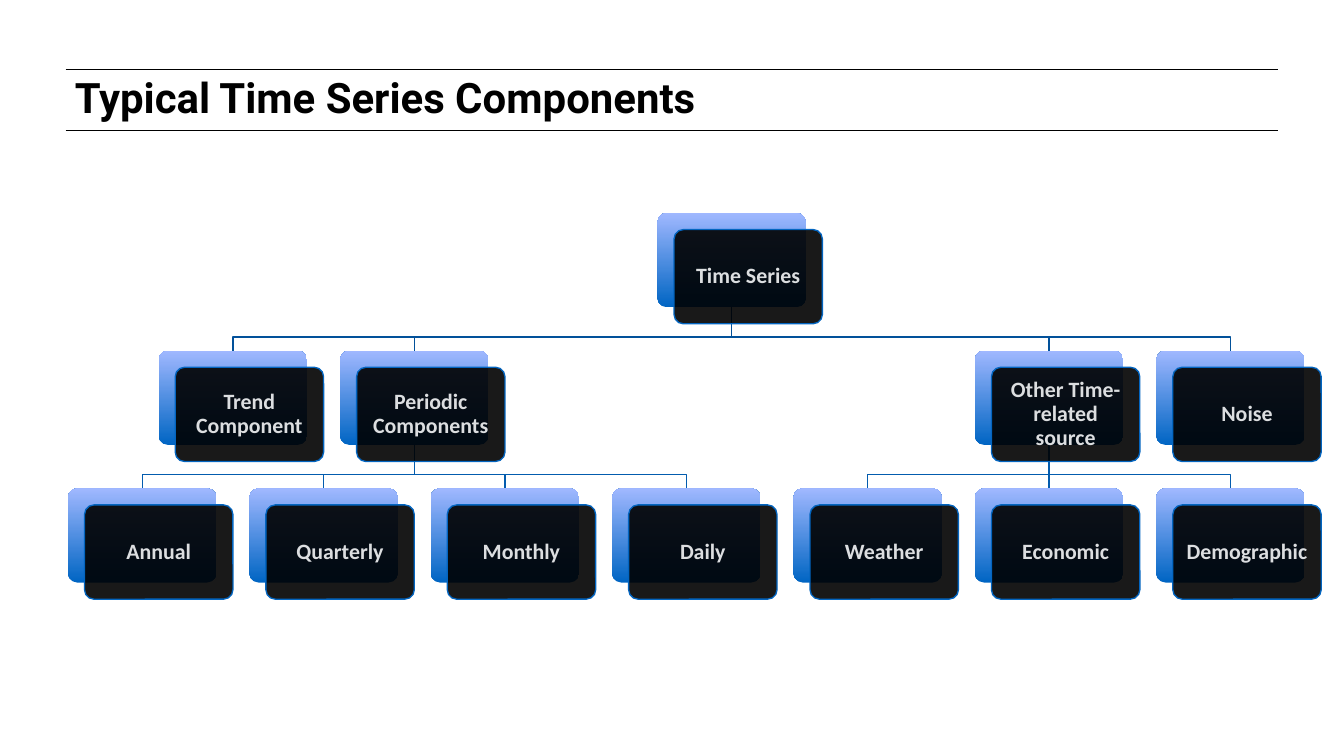
from lxml import etree
from pptx import Presentation
from pptx.dml.color import RGBColor
from pptx.enum import shapes, text
from pptx.oxml import ns
from pptx.util import Pt

COLORS = {
    "ink": "000000",
    "label": "DCDEE0",
    "card_bottom": "0065C3",
    "card_top": "A0B8FF",
    "card_edge": "0365C0",
    "upper_branch": "02519A",
    "lower_branch": "035CAE",
}

# Tree grid
LEFT, TOP = 37.3, 116.8
COLUMN_STEP, ROW_STEP = 99.5, 75.5
CARD_WIDTH, CARD_HEIGHT = 81.4, 51.7
CARD_SHIFT = 9.1
BRANCH_DROP = 16.3

# Name: (column, row, parent)
NODES = {
    "Time Series": (3.25, 0, None),
    "Trend Component": (0.5, 1, "Time Series"),
    "Periodic Components": (1.5, 1, "Time Series"),
    "Other Time-related source": (5, 1, "Time Series"),
    "Noise": (6, 1, "Time Series"),
    "Annual": (0, 2, "Periodic Components"),
    "Quarterly": (1, 2, "Periodic Components"),
    "Monthly": (2, 2, "Periodic Components"),
    "Daily": (3, 2, "Periodic Components"),
    "Weather": (4, 2, "Other Time-related source"),
    "Economic": (5, 2, "Other Time-related source"),
    "Demographic": (6, 2, "Other Time-related source"),
}


def color(name):
    return RGBColor.from_string(COLORS[name])


def write(shape, words, *, font, size, ink, align, anchor, inset, spacing, after=0):
    frame = shape.text_frame
    frame.word_wrap = True
    frame.auto_size = text.MSO_AUTO_SIZE.NONE
    frame.vertical_anchor = anchor
    frame.margin_left = frame.margin_right = Pt(inset)
    frame.margin_top = frame.margin_bottom = Pt(inset)
    para = frame.paragraphs[0]
    para.alignment = align
    para.line_spacing = spacing
    para.space_before = Pt(0)
    para.space_after = Pt(after)
    span = para.add_run()
    span.text = words
    span.font.name = font
    span.font.size = Pt(size)
    span.font.bold = True
    span.font.color.rgb = color(ink)


def add_line(page, x1, y1, x2, y2, ink, width):
    line = page.shapes.add_connector(
        shapes.MSO_CONNECTOR.STRAIGHT, Pt(x1), Pt(y1), Pt(x2), Pt(y2))
    line.line.color.rgb = color(ink)
    line.line.width = Pt(width)
    etree.SubElement(line.element.spPr, ns.qn("a:effectLst"))
    return line


def add_card(page, column, row, shift=0):
    card = page.shapes.add_shape(
        shapes.MSO_SHAPE.ROUNDED_RECTANGLE,
        Pt(LEFT + column * COLUMN_STEP + shift), Pt(TOP + row * ROW_STEP + shift),
        Pt(CARD_WIDTH), Pt(CARD_HEIGHT))
    card.adjustments[0] = 0.1
    card.shadow.inherit = False
    return card


def add_back_card(page, column, row):
    card = add_card(page, column, row)
    card.fill.gradient()
    card.fill.gradient_angle = 90
    for stop, name in zip(card.fill.gradient_stops, ("card_bottom", "card_top")):
        stop.color.rgb = color(name)
    card.line.fill.background()
    return card


def add_front_card(page, words, column, row):
    card = add_card(page, column, row, CARD_SHIFT)
    card.fill.solid()
    card.fill.fore_color.rgb = color("ink")
    tint = card.element.spPr.find(ns.qn("a:solidFill"))[0]
    etree.SubElement(tint, ns.qn("a:alpha"), val="90000")
    card.line.color.rgb = color("card_edge")
    card.line.width = Pt(0.75)
    write(card, words, font="Calibri", size=12, ink="label",
          align=text.PP_ALIGN.CENTER, anchor=text.MSO_ANCHOR.MIDDLE,
          inset=5, spacing=0.9, after=4.2)


def add_branch(page, parent, child, ink):
    start_x = parent.left + parent.width // 2
    start_y = parent.top + parent.height
    end_x = child.left + child.width // 2
    if start_x == end_x:
        line = add_line(page, 0, 0, 0, 0, ink, 0.75)
        line.begin_connect(parent, 2)
        line.end_connect(child, 0)
        return
    bar_y = start_y + Pt(BRANCH_DROP)
    builder = page.shapes.build_freeform(start_x, start_y)
    builder.add_line_segments(
        [(start_x, bar_y), (end_x, bar_y), (end_x, child.top)], close=False)
    branch = builder.convert_to_shape()
    branch.shadow.inherit = False
    branch.fill.background()
    branch.line.color.rgb = color(ink)
    branch.line.width = Pt(0.75)


def add_heading(page):
    for y in (38.3, 71.4):
        add_line(page, 36, y, 701.3, y, "ink", 0.5)
    title = page.shapes.title
    title.left, title.top, title.width, title.height = Pt(36.7), Pt(39.6), Pt(620), Pt(37.4)
    write(title, "Typical Time Series Components", font="Roboto", size=23, ink="ink",
          align=text.PP_ALIGN.LEFT, anchor=text.MSO_ANCHOR.TOP,
          inset=4.3, spacing=Pt(23))


def add_tree(page):
    # Cards at the back, then branches, then labelled cards
    backs = {name: add_back_card(page, column, row)
             for name, (column, row, _) in NODES.items()}
    for name, (_, row, parent) in NODES.items():
        if parent:
            ink = "upper_branch" if row == 1 else "lower_branch"
            add_branch(page, backs[parent], backs[name], ink)
    for name, (column, row, _) in NODES.items():
        add_front_card(page, name, column, row)


def main():
    deck = Presentation()
    deck.slide_width, deck.slide_height = Pt(737.28), Pt(414)
    page = deck.slides.add_slide(deck.slide_layouts[5])
    add_heading(page)
    add_tree(page)
    deck.save("out.pptx")


if __name__ == "__main__":
    main()
